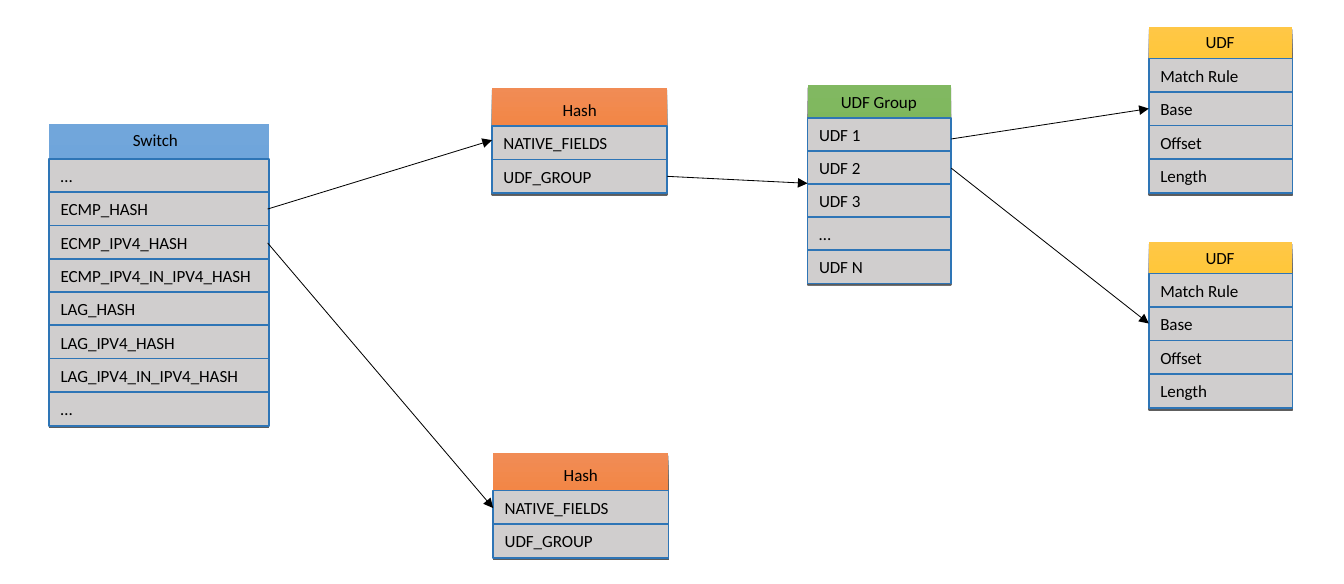
from dataclasses import dataclass

from lxml.etree import SubElement
from pptx import Presentation
from pptx.dml.color import RGBColor
from pptx.enum.shapes import MSO_CONNECTOR, MSO_SHAPE
from pptx.enum.text import MSO_ANCHOR, MSO_AUTO_SIZE, PP_ALIGN
from pptx.oxml.ns import qn
from pptx.util import Inches, Pt


@dataclass(frozen=True)
class Theme:
    font: str = "Calibri"
    size: float = 10.5
    text: str = "000000"
    row_fill: str = "D0CECE"
    row_line: str = "2E75B6"
    blue: tuple = ("71A6DB", "559BDB")
    orange: tuple = ("F18C55", "F67B28")
    green: tuple = ("81B861", "6FB242")
    yellow: tuple = ("FFC746", "FFC600")


@dataclass(frozen=True)
class Card:
    title: str
    title_box: tuple  # left, top, width
    gradient: tuple
    left: float
    top: float
    width: float
    first_row: float
    bottom: float
    rows: tuple


THEME = Theme()
TEXT_HEIGHT = 0.28
ROW_HEIGHT = 0.29

SWITCH_ROWS = ("…", "ECMP_HASH", "ECMP_IPV4_HASH", "ECMP_IPV4_IN_IPV4_HASH",
               "LAG_HASH", "LAG_IPV4_HASH", "LAG_IPV4_IN_IPV4_HASH", "…")
HASH_ROWS = ("NATIVE_FIELDS", "UDF_GROUP")
GROUP_ROWS = ("UDF 1", "UDF 2", "UDF 3", "…", "UDF N")
UDF_ROWS = ("Match Rule", "Base", "Offset", "Length")

CARDS = (
    Card("Switch", (1.03, 1.06, 0.6), THEME.blue,
         0.42, 1.06, 1.88, 1.36, 3.64, SWITCH_ROWS),
    Card("Hash", (4.71, 0.8, 0.5), THEME.orange,
         4.21, 0.75, 1.5, 1.08, 1.65, HASH_ROWS),
    Card("Hash", (4.72, 3.92, 0.5), THEME.orange,
         4.22, 3.88, 1.5, 4.2, 4.77, HASH_ROWS),
    Card("UDF Group", (7.09, 0.73, 0.86), THEME.green,
         6.91, 0.73, 1.23, 1.01, 2.42, GROUP_ROWS),
    Card("UDF", (10.21, 0.22, 0.46), THEME.yellow,
         9.83, 0.23, 1.23, 0.5, 1.65, UDF_ROWS),
    Card("UDF", (10.21, 2.07, 0.46), THEME.yellow,
         9.83, 2.07, 1.23, 2.34, 3.49, UDF_ROWS),
)

# Start x, start y, end x, end y
ARROWS = (
    (2.29, 1.79, 4.21, 1.2),
    (2.29, 2.08, 4.22, 4.35),
    (5.71, 1.51, 6.91, 1.57),
    (8.14, 1.19, 9.83, 0.93),
    (8.14, 1.44, 9.83, 2.77),
)


def color(code):
    return RGBColor.from_string(code)


def write(box, text, align, wrap):
    frame = box.text_frame
    frame.word_wrap = wrap
    frame.auto_size = MSO_AUTO_SIZE.SHAPE_TO_FIT_TEXT
    frame.vertical_anchor = MSO_ANCHOR.MIDDLE
    para = frame.paragraphs[0]
    para.alignment = align
    span = para.add_run()
    span.text = text
    span.font.name = THEME.font
    span.font.size = Pt(THEME.size)
    span.font.color.rgb = color(THEME.text)


def add_box(page, left, top, width, height):
    box = page.shapes.add_shape(MSO_SHAPE.RECTANGLE, Inches(left), Inches(top),
                                Inches(width), Inches(height))
    box.shadow.inherit = False
    return box


def add_drop_shadow(box):
    effects = box._element.spPr.find(qn("a:effectLst"))
    shadow = SubElement(effects, qn("a:outerShdw"), blurRad="0",
                        dist=str(Pt(1.5)), dir="5400000", rotWithShape="0")
    tint = SubElement(shadow, qn("a:srgbClr"), val="000000")
    SubElement(tint, qn("a:alpha"), val="63000")


def add_row(page, text, left, top, width):
    box = add_box(page, left, top, width, ROW_HEIGHT)
    box.fill.solid()
    box.fill.fore_color.rgb = color(THEME.row_fill)
    box.line.color.rgb = color(THEME.row_line)
    box.line.width = Pt(1)
    write(box, text, PP_ALIGN.LEFT, True)


def add_card(page, card):
    # Coloured backing, visible as the header
    backing = add_box(page, card.left, card.top, card.width, card.bottom - card.top)
    backing.fill.gradient()
    backing.fill.gradient_angle = 270
    for stop, code in zip(backing.fill.gradient_stops, card.gradient):
        stop.color.rgb = color(code)
    backing.line.fill.background()
    add_drop_shadow(backing)

    # Header text
    left, top, width = card.title_box
    title = page.shapes.add_textbox(Inches(left), Inches(top),
                                    Inches(width), Inches(TEXT_HEIGHT))
    write(title, card.title, PP_ALIGN.CENTER, False)

    # Rows share the space below the header evenly
    pitch = (card.bottom - card.first_row) / len(card.rows)
    for index, text in enumerate(card.rows):
        add_row(page, text, card.left, card.first_row + index * pitch, card.width)


def add_arrow(page, points):
    arrow = page.shapes.add_connector(MSO_CONNECTOR.STRAIGHT,
                                      *(Inches(value) for value in points))
    arrow.line.color.rgb = color(THEME.text)
    arrow.line.width = Pt(0.5)
    SubElement(arrow.line._get_or_add_ln(), qn("a:tailEnd"), type="triangle")
    SubElement(arrow._element.spPr, qn("a:effectLst"))


def main():
    deck = Presentation()
    deck.slide_width, deck.slide_height = Inches(11.5), Inches(5)
    page = deck.slides.add_slide(deck.slide_layouts[6])
    for card in CARDS:
        add_card(page, card)
    for points in ARROWS:
        add_arrow(page, points)
    deck.save("out.pptx")


if __name__ == "__main__":
    main()
